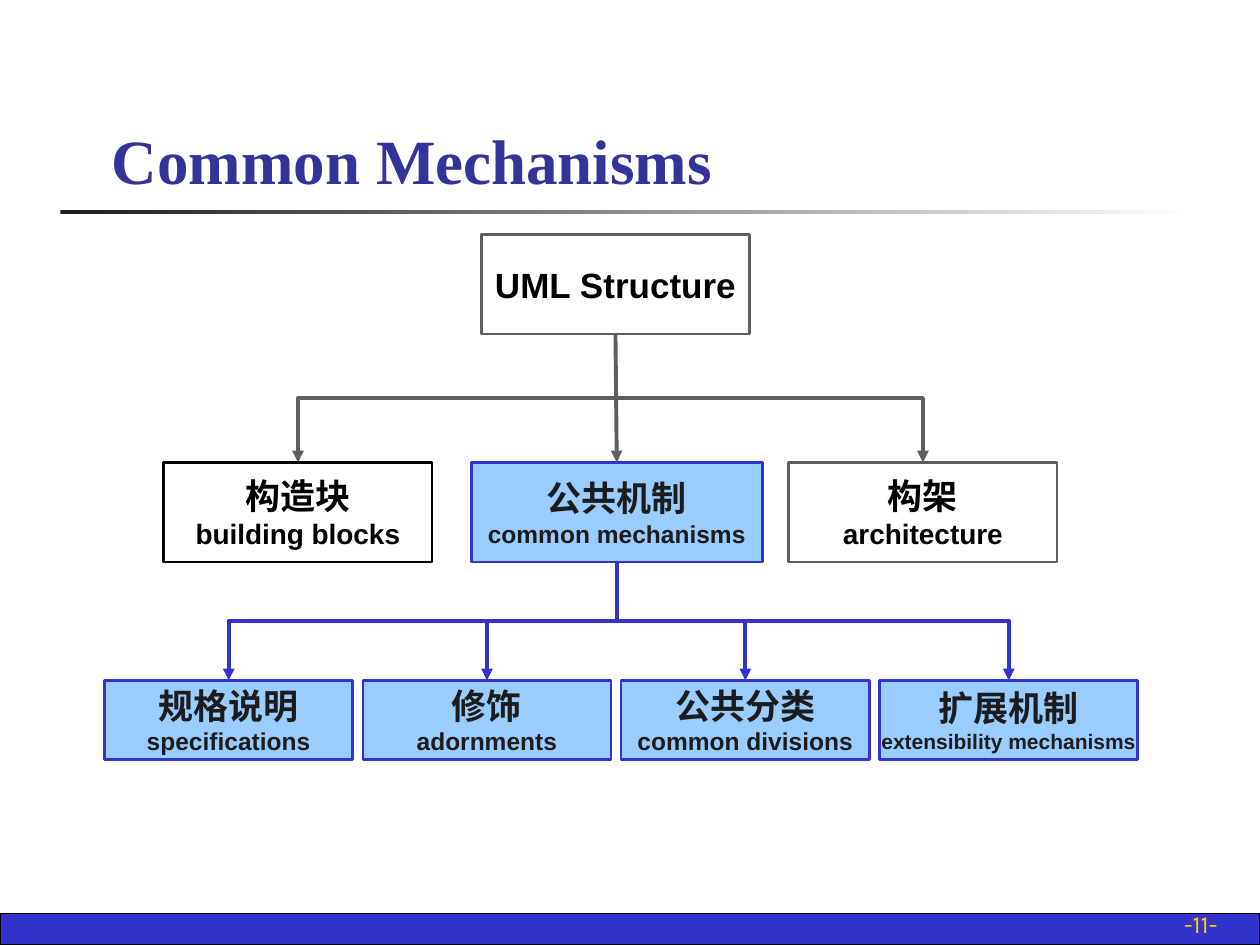
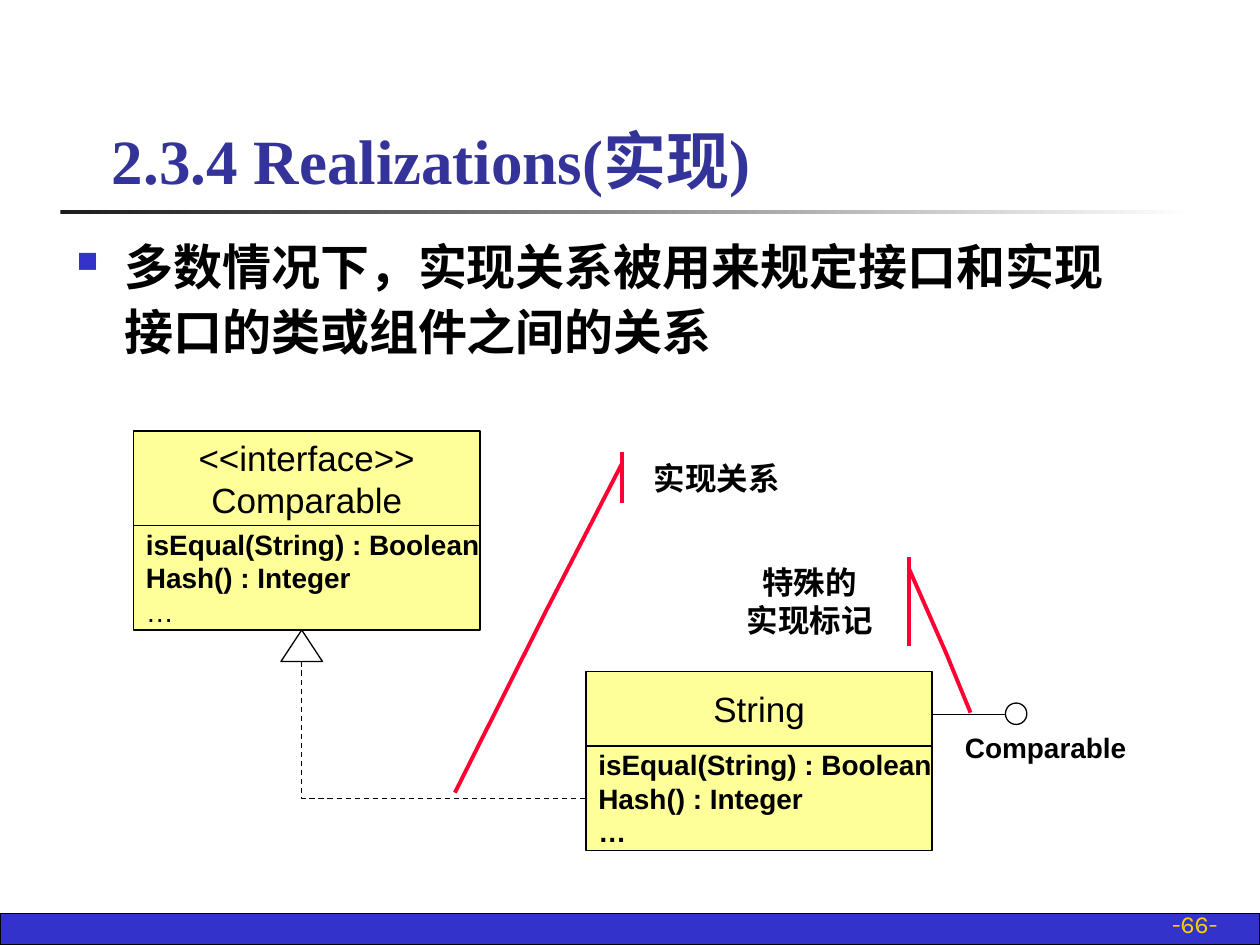
from lxml import etree
from pptx import Presentation
from pptx.dml.color import RGBColor
from pptx.enum.shapes import MSO_CONNECTOR, MSO_SHAPE
from pptx.enum.text import MSO_ANCHOR, PP_ALIGN
from pptx.oxml.ns import qn
from pptx.util import Inches, Pt

RECTANGLE = MSO_SHAPE.RECTANGLE
OVAL = MSO_SHAPE.OVAL
TRIANGLE = MSO_SHAPE.ISOSCELES_TRIANGLE
CALLOUT = MSO_SHAPE.LINE_CALLOUT_2_ACCENT_BAR
STRAIGHT, ELBOW = MSO_CONNECTOR.STRAIGHT, MSO_CONNECTOR.ELBOW
LEFT, CENTER, RIGHT = PP_ALIGN.LEFT, PP_ALIGN.CENTER, PP_ALIGN.RIGHT
TOP, MIDDLE, BOTTOM = MSO_ANCHOR.TOP, MSO_ANCHOR.MIDDLE, MSO_ANCHOR.BOTTOM

COLORS = {
    "blue": "3333CC", "title": "333399", "sky": "99CCFF", "yellow": "FFFF99",
    "red": "FF0033", "gold": "FFCF01", "gray": "5F5F5F", "ink": "1C1C1C",
    "black": "000000", "white": "FFFFFF",
}
COLORS = {name: RGBColor.from_string(value) for name, value in COLORS.items()}

# The slide is a grid of 100 columns by 75 rows
CELL = Inches(0.1)
TOP_SITE, LEFT_SITE, BOTTOM_SITE, TRIANGLE_BASE_SITE = 0, 1, 2, 3


def add_box(slide, preset, area, lines=(), fill=None, line=None, width=1.5,
            color="black", font="Arial", align=CENTER, anchor=MIDDLE, wrap=False):
    """Add a shape, or a text box without preset; lines are (text, size, bold)."""
    area = [round(value * CELL) for value in area]
    if preset is None:
        shape = slide.shapes.add_textbox(*area)
    else:
        shape = slide.shapes.add_shape(preset, *area)
        shape.shadow.inherit = False
        if fill:
            shape.fill.solid()
            shape.fill.fore_color.rgb = COLORS[fill]
        else:
            shape.fill.background()
        if line:
            shape.line.color.rgb = COLORS[line]
            shape.line.width = Pt(width)
        else:
            shape.line.fill.background()
    frame = shape.text_frame
    frame.word_wrap = wrap
    frame.vertical_anchor = anchor
    for index, (text, size, bold) in enumerate(lines):
        paragraph = frame.add_paragraph() if index else frame.paragraphs[0]
        paragraph.alignment = align
        run = paragraph.add_run()
        run.text = text
        run.font.name = font
        run.font.size = Pt(size)
        run.font.bold = bold
        run.font.color.rgb = COLORS[color]
    return shape


def add_link(slide, kind, start, end, color, width, glue=None, arrow=False):
    """Join two points; an elbow leaves its start downwards."""
    (x1, y1), (x2, y2) = start, end
    connector = slide.shapes.add_connector(kind, x1, y1, x2, y2)
    if glue:
        connector.begin_connect(*glue[0])
        connector.end_connect(*glue[1])
    across, down = abs(x2 - x1), y2 - y1
    rotation, flip = 0, "0"
    box_width, box_height = across, down
    if kind == ELBOW:
        box_width, box_height = down, across
        rotation, flip = (5400000, "0") if x2 < x1 else (16200000, "1")
    connector.left = (x1 + x2 - box_width) // 2
    connector.top = (y1 + y2 - box_height) // 2
    connector.width, connector.height = box_width, box_height
    properties = connector._element.spPr
    properties.xfrm.set("rot", str(rotation))
    properties.xfrm.set("flipH", flip)
    properties.xfrm.set("flipV", "0")
    connector.line.color.rgb = COLORS[color]
    connector.line.width = Pt(width)
    if arrow:
        etree.SubElement(connector.line._get_or_add_ln(), qn("a:tailEnd"), type="triangle")
    etree.SubElement(properties, qn("a:effectLst"))
    return connector


presentation = Presentation()
presentation.slide_width = 100 * CELL
presentation.slide_height = 75 * CELL

# Shared footer band, rule, page number and title
slides = []
for title, page in [("Common Mechanisms", "-11-"), ("2.3.4 Realizations(实现)", "-66-")]:
    slide = presentation.slides.add_slide(presentation.slide_layouts[6])
    slides.append(slide)
    add_box(slide, RECTANGLE, (0, 72.5, 100, 2.5), fill="blue", line="black", width=0.75)
    rule = add_box(slide, RECTANGLE, (4.8, 16.7, 90, 0.3))
    rule.fill.gradient()
    rule.fill.gradient_angle = 0
    for stop, name, position in zip(rule.fill.gradient_stops, ("ink", "white"), (0, 1)):
        stop.color.rgb = COLORS[name]
        stop.position = position
    add_box(slide, None, (76.8, 71.7, 20.8, 3.3), [(page, 14, False)],
            color="gold", font="Karla", align=RIGHT, anchor=BOTTOM, wrap=True)
    add_box(slide, None, (7.9, 6, 85.3, 10.1), [(title, 36, True)],
            color="title", font="Times New Roman", align=LEFT, anchor=BOTTOM, wrap=True)
mechanisms_slide, realizations_slide = slides

# Slide 1: the structure and its three parts
root = add_box(mechanisms_slide, RECTANGLE, (38.2, 18.6, 21.3, 7.9),
               [("UML Structure", 20, True)], line="gray")
parts = []
for left, width, chinese, english, size, fill, line, color in [
    (13, 21.3, "构造块", "building blocks", 16, None, "black", "black"),
    (37.4, 23.1, "公共机制", "common mechanisms", 14, "sky", "blue", "ink"),
    (62.6, 21.3, "构架", "architecture", 16, None, "gray", "black"),
]:
    parts.append(add_box(mechanisms_slide, RECTANGLE, (left, 36.7, width, 7.9),
                         [(chinese, 20, True), (english, size, True)],
                         fill=fill, line=line, color=color))

# Slide 1: the four common mechanisms
mechanisms = []
for column, (chinese, english, size, width) in enumerate([
    ("规格说明", "specifications", 14, 19.7),
    ("修饰", "adornments", 14, 19.7),
    ("公共分类", "common divisions", 14, 19.7),
    ("扩展机制", "extensibility mechanisms", 12, 20.5),
]):
    mechanisms.append(add_box(mechanisms_slide, RECTANGLE,
                              (8.3 + 20.5 * column, 54, width, 6.3),
                              [(chinese, 20, True), (english, size, True)],
                              fill="sky", line="blue", color="ink"))

# Slide 1: arrows from each parent to its children
for parent, children, color in [(root, parts, "gray"), (parts[1], mechanisms, "blue")]:
    start = (parent.left + parent.width // 2, parent.top + parent.height)
    for child in children:
        end = (child.left + child.width // 2, child.top)
        kind = STRAIGHT if abs(end[0] - start[0]) < CELL else ELBOW
        add_link(mechanisms_slide, kind, start, end, color, 2.25,
                 ((parent, BOTTOM_SITE), (child, TOP_SITE)), arrow=True)

# Slide 2: bulleted statement
statement = add_box(realizations_slide, None, (5.1, 17.8, 85, 15.1),
                    [("多数情况下，实现关系被用来规定接口和实现接口的类或组件之间的关系", 28, True)],
                    font="Karla", align=LEFT, anchor=TOP, wrap=True)
paragraph = statement.text_frame.paragraphs[0]
paragraph.line_spacing = 1.1
indent = round(3.8 * CELL)
paragraph_properties = paragraph._p.get_or_add_pPr()
paragraph_properties.set("marL", str(indent))
paragraph_properties.set("indent", str(-indent))
bullet_color = etree.SubElement(paragraph_properties, qn("a:buClr"))
etree.SubElement(bullet_color, qn("a:srgbClr"), val=str(COLORS["blue"]))
etree.SubElement(paragraph_properties, qn("a:buSzPct"), val="60000")
etree.SubElement(paragraph_properties, qn("a:buChar"), char="■")

# Slide 2: class boxes, each a name above its operations
operation_boxes = []
for left, top, name_height, names, dots_bold in [
    (46.5, 53.3, 5.9, ["String"], True),
    (10.6, 34.2, 7.5, ["<<interface>>", "Comparable"], False),
]:
    add_box(realizations_slide, RECTANGLE, (left, top, 27.5, name_height),
            [(name, 20, False) for name in names], fill="yellow", line="black", width=1)
    operation_boxes.append(add_box(
        realizations_slide, RECTANGLE, (left, top + name_height, 27.5, 8.3),
        [("isEqual(String) : Boolean", 16, True), ("Hash() : Integer", 16, True),
         ("…", 16, dots_bold)],
        fill="yellow", line="black", width=1, align=LEFT))
string_operations = operation_boxes[0]

# Slide 2: dashed realization arrow
triangle = add_box(realizations_slide, TRIANGLE, (22.3, 50, 3.3, 2.5), line="black", width=0.75)
realization = add_link(
    realizations_slide, ELBOW,
    (triangle.left + triangle.width // 2, triangle.top + triangle.height),
    (string_operations.left, string_operations.top + string_operations.height // 2),
    "black", 0.75, ((triangle, TRIANGLE_BASE_SITE), (string_operations, LEFT_SITE)))
realization._element.spPr.find(qn("a:prstGeom")).set("prst", "bentConnector2")
line_properties = realization.line._get_or_add_ln()
etree.SubElement(line_properties, qn("a:prstDash"), val="dash")

# Slide 2: interface circle on a stem
stem_row = round(56.7 * CELL)
add_link(realizations_slide, STRAIGHT, (74 * CELL, stem_row),
         (round(79.8 * CELL), stem_row), "black", 0.75)
add_box(realizations_slide, OVAL, (79.8, 55.8, 1.7, 1.7), line="black", width=0.75)
add_box(realizations_slide, None, (75.6, 57.5, 15.8, 3.7), [("Comparable", 16, True)],
        align=LEFT, anchor=TOP, wrap=True)

# Slide 2: red callouts
for area, labels, adjustments in [
    ((50.5, 35.9, 12.8, 4), ["实现关系"], (0.235, -0.091, 3.124, -0.556, 6.752, -1.125)),
    ((57, 44.2, 14.5, 7.1), ["特殊的", "实现标记"], (0.134, 1.045, 1.087, 1.25, 1.741, 1.381)),
]:
    callout = add_box(realizations_slide, CALLOUT, area,
                      [(label, 18, True) for label in labels],
                      line="red", width=2.25, anchor=TOP, wrap=True)
    for index, value in enumerate(adjustments):
        callout.adjustments[index] = value

presentation.save("out.pptx")
